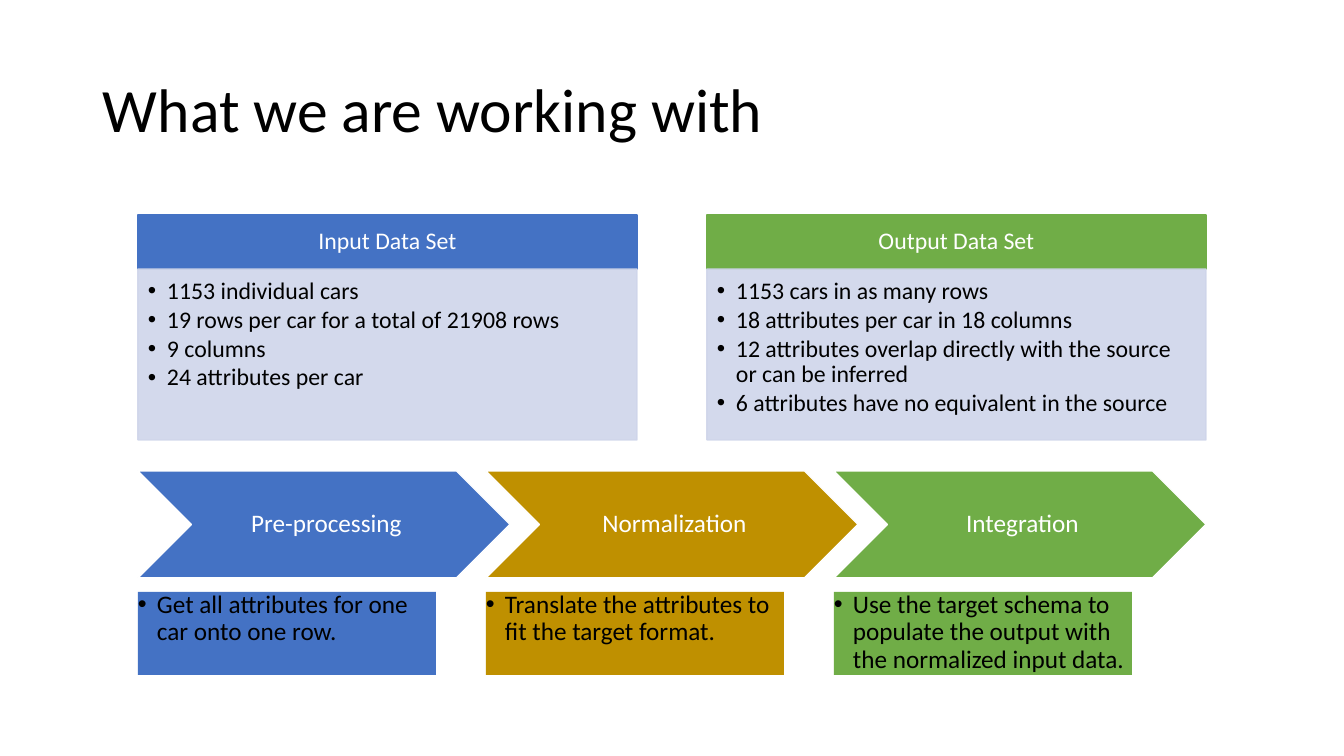
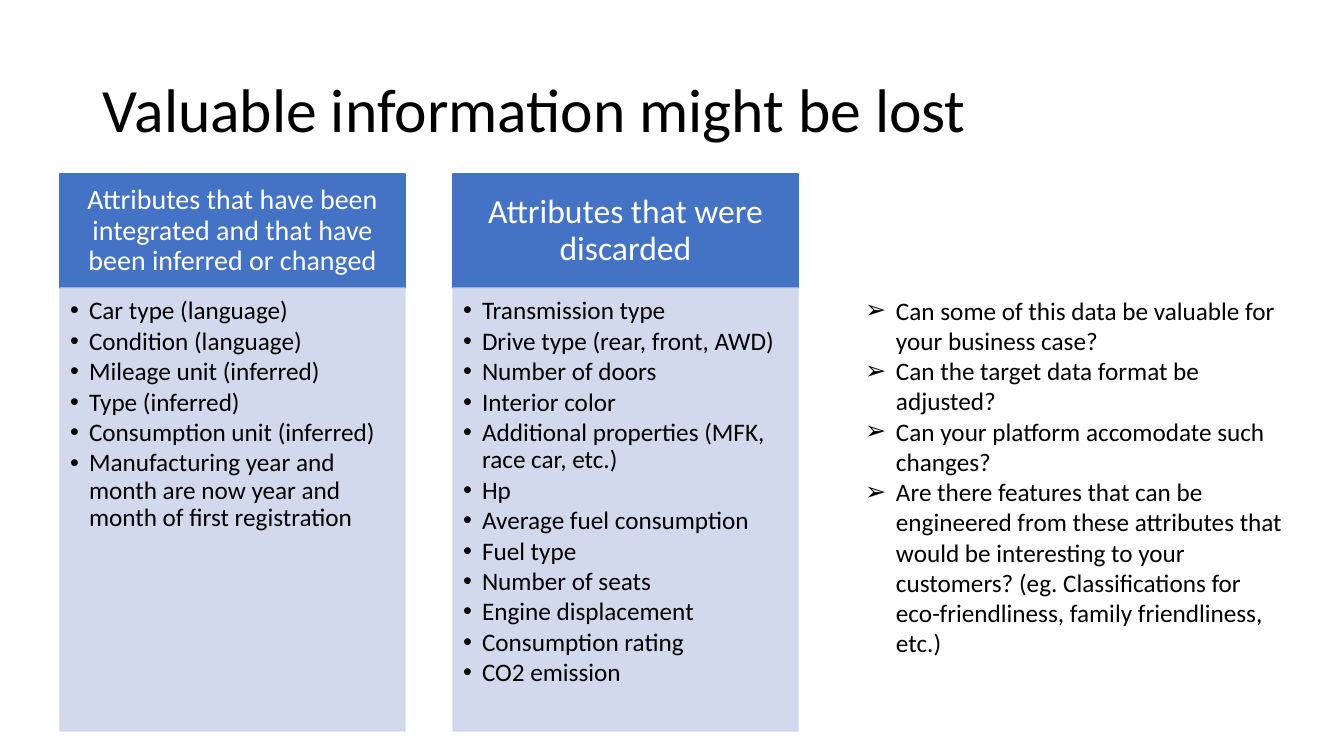
import dataclasses
import typing
import pptx
import pptx.util
import pptx.dml.color
import pptx.enum.shapes
import pptx.enum.text
import pptx.oxml.ns
import lxml.etree

PIXEL = 914400 / 100.8
SHAPES = pptx.enum.shapes.MSO_SHAPE
ALIGN = pptx.enum.text.PP_ALIGN
ANCHOR = pptx.enum.text.MSO_ANCHOR


@dataclasses.dataclass(frozen=True)
class Theme:
    font: str = "Calibri"
    ink: str = "000000"
    paper: str = "FFFFFF"
    blue: str = "4472C4"
    gold: str = "BF9000"
    green: str = "70AD47"
    pale: str = "CFD5EA"
    pale_opacity: int = 90
    title_size: int = 44
    panel_size: int = 17
    text_size: int = 18
    tight: float = 0.9
    dot: str = "\u2022"
    arrow: str = "\u27a2"


THEME = Theme()


class Box(typing.NamedTuple):
    left: int
    top: int
    width: int
    height: int

    def emu(self):
        return [px(length) for length in self]


def px(length):
    return pptx.util.Emu(round(length * PIXEL))


def color(value):
    return pptx.dml.color.RGBColor.from_string(value)


def add_bullet(para, mark, indent):
    props = para._p.get_or_add_pPr()
    props.set("marL", str(px(indent)))
    props.set("indent", str(-px(indent)))
    for tag, name, value in (("a:buFont", "typeface", "Arial"), ("a:buChar", "char", mark)):
        lxml.etree.SubElement(props, pptx.oxml.ns.qn(tag)).set(name, value)


def write(shape, lines, size, ink, insets, align=ALIGN.LEFT, anchor=ANCHOR.TOP,
          spacing=THEME.tight, after=0, mark=None, indent=19):
    """Fill a shape with one paragraph per line; insets are left, top, right, bottom."""
    frame = shape.text_frame
    frame.text = "\n".join(lines)
    frame.word_wrap = True
    frame.auto_size = pptx.enum.text.MSO_AUTO_SIZE.NONE
    frame.vertical_anchor = anchor
    frame.margin_left, frame.margin_top, frame.margin_right, frame.margin_bottom = map(px, insets)
    for para in frame.paragraphs:
        para.alignment = align
        para.line_spacing = spacing
        para.space_before = pptx.util.Pt(0)
        para.space_after = pptx.util.Pt(after)
        if mark:
            add_bullet(para, mark, indent)
        for span in para.runs:
            span.font.name = THEME.font
            span.font.size = pptx.util.Pt(size)
            span.font.color.rgb = color(ink)


def set_opacity(paint, percent):
    for solid in paint.iter(pptx.oxml.ns.qn("a:srgbClr")):
        lxml.etree.SubElement(solid, pptx.oxml.ns.qn("a:alpha")).set("val", str(percent * 1000))


def add_block(page, kind, box, fill, line=None):
    shape = page.shapes.add_shape(kind, *box.emu())
    shape.shadow.inherit = False
    shape.fill.solid()
    shape.fill.fore_color.rgb = color(fill)
    if line:
        shape.line.color.rgb = color(line)
        shape.line.width = pptx.util.Pt(1)
    else:
        shape.line.fill.background()
    return shape


def add_page(deck, title):
    page = deck.slides.add_slide(deck.slide_layouts[5])
    heading = page.shapes.title
    heading.left, heading.top, heading.width, heading.height = Box(93, 40, 1159, 146).emu()
    write(heading, [title], THEME.title_size, THEME.ink, (10, 5, 10, 5), anchor=ANCHOR.MIDDLE)
    return page


def add_panel(page, box, head_height, fill, head, head_size, items, size):
    """Coloured heading above a pale list."""
    top = add_block(page, SHAPES.RECTANGLE, box._replace(height=head_height), fill, fill)
    side, edge = round(head_size * 0.8), round(head_size * 0.45)
    write(top, [head], head_size, THEME.paper, (side, edge, side, edge), ALIGN.CENTER, ANCHOR.MIDDLE)
    body_box = box._replace(top=box.top + head_height, height=box.height - head_height)
    body = add_block(page, SHAPES.RECTANGLE, body_box, THEME.pale, THEME.pale)
    set_opacity(body._element.spPr, THEME.pale_opacity)
    write(body, items, size, THEME.ink, (10, 10, 14, 16), after=round(size * 0.13, 1), mark=THEME.dot)


def add_step(page, box, fill, name, detail):
    """Chevron with its explanation underneath."""
    chevron = add_block(page, SHAPES.CHEVRON, box._replace(height=107), fill, THEME.paper)
    write(chevron, [name], THEME.text_size, THEME.paper, (8, 3, 3, 3), ALIGN.CENTER, ANCHOR.MIDDLE)
    note_box = Box(box.left, box.top + 121, round(box.width * 0.8), box.height - 121)
    note = add_block(page, SHAPES.RECTANGLE, note_box, fill)
    write(note, [detail], THEME.text_size, THEME.ink, (0, 0, 0, 0), mark=THEME.dot)


def add_questions(page, box, questions):
    area = page.shapes.add_textbox(*box.emu())
    write(area, questions, THEME.text_size, THEME.ink, (10, 5, 10, 5),
          spacing=1.0, mark=THEME.arrow, indent=31)


def build_data_page(deck):
    page = add_page(deck, "What we are working with")
    # Data sets
    panels = [
        (THEME.blue, "Input Data Set", [
            "1153 individual cars",
            "19 rows per car for a total of 21908 rows",
            "9 columns",
            "24 attributes per car"]),
        (THEME.green, "Output Data Set", [
            "1153 cars in as many rows",
            "18 attributes per car in 18 columns",
            "12 attributes overlap directly with the source or can be inferred",
            "6 attributes have no equivalent in the source"]),
    ]
    for column, (fill, head, items) in enumerate(panels):
        add_panel(page, Box(138 + 569 * column, 215, 499, 225), 54,
                  fill, head, THEME.panel_size, items, THEME.panel_size)
    # Process
    steps = [
        (THEME.blue, "Pre-processing", "Get all attributes for one car onto one row."),
        (THEME.gold, "Normalization", "Translate the attributes to fit the target format."),
        (THEME.green, "Integration",
         "Use the target schema to populate the output with the normalized input data."),
    ]
    for column, step in enumerate(steps):
        add_step(page, Box(138 + 348 * column, 471, 372, 204), *step)


def build_loss_page(deck):
    page = add_page(deck, "Valuable information might be lost")
    # Attribute lists
    panels = [
        ("Attributes that have been integrated and that have been inferred or changed", 20, [
            "Car type (language)",
            "Condition (language)",
            "Mileage unit (inferred)",
            "Type (inferred)",
            "Consumption unit (inferred)",
            "Manufacturing year and month are now year and month of first registration"]),
        ("Attributes that were discarded", 24, [
            "Transmission type",
            "Drive type (rear, front, AWD)",
            "Number of doors",
            "Interior color",
            "Additional properties (MFK, race car, etc.)",
            "Hp",
            "Average fuel consumption",
            "Fuel type",
            "Number of seats",
            "Engine displacement",
            "Consumption rating",
            "CO2 emission"]),
    ]
    for column, (head, head_size, items) in enumerate(panels):
        add_panel(page, Box(60 + 393 * column, 174, 345, 557), 114,
                  THEME.blue, head, head_size, items, THEME.text_size)
    # Open questions
    add_questions(page, Box(855, 290, 443, 407), [
        "Can some of this data be valuable for your business case?",
        "Can the target data format be adjusted?",
        "Can your platform accomodate such changes?",
        "Are there features that can be engineered from these attributes that would be "
        "interesting to your customers? (eg. Classifications for eco-friendliness, "
        "family friendliness, etc.)"])


def main():
    deck = pptx.Presentation()
    deck.slide_width, deck.slide_height = px(1344), px(756)
    build_data_page(deck)
    build_loss_page(deck)
    deck.save("out.pptx")


main()
